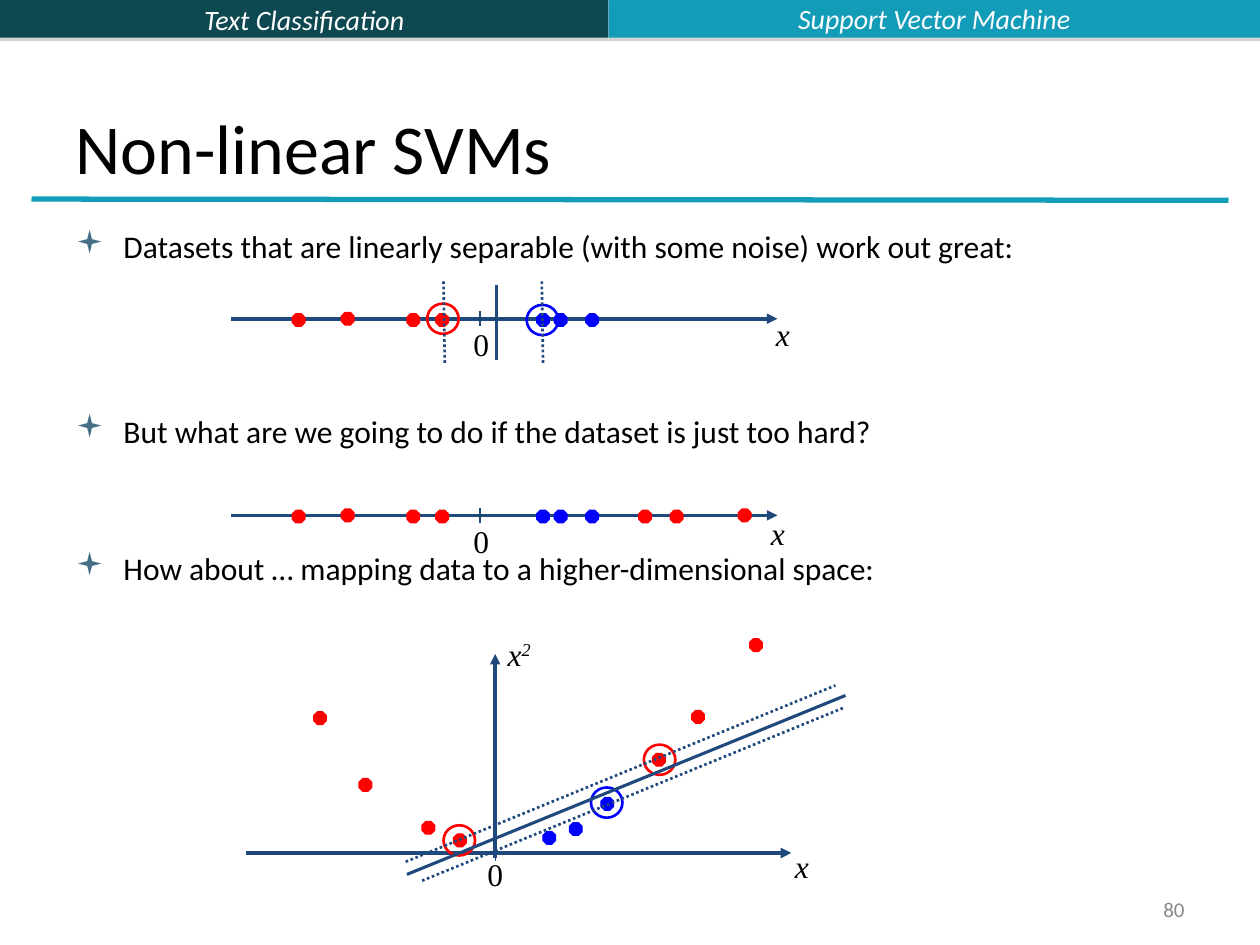
from lxml.etree import SubElement
from pptx import Presentation
from pptx.dml.color import RGBColor
from pptx.enum.dml import MSO_LINE
from pptx.enum.shapes import MSO_CONNECTOR, MSO_SHAPE
from pptx.enum.text import MSO_ANCHOR, PP_ALIGN
from pptx.oxml.ns import qn
from pptx.util import Inches, Pt

HUES = {"dark": "0E4851", "teal": "139CB7", "navy": "1F497D", "red": "FF0000",
        "blue": "0000FF", "black": "000000", "white": "FFFFFF", "pale": "FBFCFF",
        "gray": "898989", "shade": "808080", "bullet": "437085"}
TINT = {name: RGBColor.from_string(code) for name, code in HUES.items()}
SANS, SERIF = "Calibri", "Times New Roman"


def write(para, text, size, face, hue, slant=False):
    run = para.add_run()
    run.text = text
    run.font.size = Pt(size)
    run.font.name = face
    run.font.italic = slant
    run.font.color.rgb = TINT[hue]
    return run


def rule(x1, y1, x2, y2, width, hue="navy", dash=None, arrow=False):
    wire = slide.shapes.add_connector(
        MSO_CONNECTOR.STRAIGHT, Inches(x1), Inches(y1), Inches(x2), Inches(y2))
    wire.line.color.rgb = TINT[hue]
    wire.line.width = Pt(width)
    if dash:
        wire.line.dash_style = dash
    props = wire._element.spPr
    if arrow:
        SubElement(props.find(qn("a:ln")), qn("a:tailEnd"), type="triangle")
    SubElement(props, qn("a:effectLst"))


deck = Presentation()
deck.slide_width, deck.slide_height = Inches(10), Inches(7.5)
slide = deck.slides.add_slide(deck.slide_layouts[1])

# Header bars with a thin shadow below
for left, width, hue in [(0, 4.83, "dark"), (4.83, 5.17, "teal")]:
    bar = slide.shapes.add_shape(
        MSO_SHAPE.RECTANGLE, Inches(left), 0, Inches(width), Inches(0.3))
    bar.fill.solid()
    bar.fill.fore_color.rgb = TINT[hue]
    bar.line.fill.background()
    bar.shadow.inherit = False
    glow = SubElement(bar._element.spPr.find(qn("a:effectLst")), qn("a:outerShdw"),
                      blurRad="0", dist=str(Pt(1.8)), dir="5400000", rotWithShape="0")
    shade = SubElement(glow, qn("a:srgbClr"), val=HUES["shade"])
    SubElement(shade, qn("a:alpha"), val="35000")
    if hue == "dark":
        bar.text_frame.vertical_anchor = MSO_ANCHOR.MIDDLE
        para = bar.text_frame.paragraphs[0]
        para.alignment = PP_ALIGN.CENTER
        write(para, "Text Classification", 16, SANS, "white", True)

# Title and its underline
title = slide.shapes.title
title.left, title.top = Inches(0.5), Inches(0.3)
title.width, title.height = Inches(9), Inches(1.25)
title.text_frame.vertical_anchor = MSO_ANCHOR.BOTTOM
para = title.text_frame.paragraphs[0]
para.alignment = PP_ALIGN.LEFT
write(para, "Non-linear SVMs", 40, SANS, "black")
rule(0.25, 1.58, 9.75, 1.59, 3, "teal")

# Bulleted list, spaced to leave room for the diagrams
body = slide.placeholders[1]
body.left, body.top = Inches(0.5), Inches(1.75)
body.width, body.height = Inches(9), Inches(5.42)
points = [
    ("Datasets that are linearly separable (with some noise) work out great:", 0),
    ("But what are we going to do if the dataset is just too hard?", 84),
    ("How about … mapping data to a higher-dimensional space:", 57),
]
for i, (text, gap) in enumerate(points):
    frame = body.text_frame
    para = frame.add_paragraph() if i else frame.paragraphs[0]
    props = para._p.get_or_add_pPr()
    props.set("marL", str(Inches(0.38)))
    props.set("indent", str(-Inches(0.38)))
    tone = SubElement(props, qn("a:buClr"))
    SubElement(tone, qn("a:srgbClr"), val=HUES["bullet"])
    SubElement(props, qn("a:buFont"), typeface="Wingdings")
    SubElement(props, qn("a:buChar"), char="▪")
    para.space_before = Pt(gap)
    write(para, text, 18, SANS, "black")

# Axes: two number lines, then the plane
for y in (2.53, 4.09):
    rule(1.83, y, 6.17, y, 2, arrow=True)
    rule(3.81, y - 0.06, 3.81, y + 0.06, 1.5)
rule(1.95, 6.77, 6.28, 6.77, 2, arrow=True)
rule(3.93, 6.71, 3.93, 6.83, 0.75)
rule(3.93, 6.81, 3.93, 5.19, 2, arrow=True)

# Data points by left and top
near = [(2.32, 0.01, "red"), (2.71, 0, "red"), (3.23, 0.01, "red"),
        (3.46, 0.01, "red"), (4.4, 0.01, "blue"), (4.65, 0.01, "blue"),
        (4.26, 0.01, "blue")]
far = [(5.07, 0.01, "red"), (5.32, 0.01, "red"), (5.86, 0, "red")]
plane = [(2.49, 5.65, "red"), (2.85, 6.18, "red"), (3.35, 6.52, "red"),
         (3.6, 6.62, "red"), (4.52, 6.53, "blue"), (4.77, 6.33, "blue"),
         (4.31, 6.6, "blue"), (5.18, 5.98, "red"), (5.49, 5.64, "red"),
         (5.95, 5.07, "red")]
dots = [(x, 2.48 + y, hue) for x, y, hue in near]
dots += [(x, 4.04 + y, hue) for x, y, hue in near + far]
for x, y, hue in dots + plane:
    dot = slide.shapes.add_shape(
        MSO_SHAPE.OCTAGON, Inches(x), Inches(y), Inches(0.1), Inches(0.1))
    dot.fill.solid()
    dot.fill.fore_color.rgb = dot.line.color.rgb = TINT[hue]
    dot.line.width = Pt(0.75)
    dot.shadow.inherit = False

# Rings around the support vectors
for x, y, hue in [(4.18, 2.42, "blue"), (3.39, 2.41, "red"), (5.11, 5.91, "red"),
                  (4.69, 6.25, "blue"), (3.52, 6.55, "red")]:
    ring = slide.shapes.add_shape(
        MSO_SHAPE.OVAL, Inches(x), Inches(y), Inches(0.25), Inches(0.24))
    ring.fill.background()
    ring.line.color.rgb = TINT[hue]
    ring.line.width = Pt(1.5)
    ring.shadow.inherit = False

# Separators and dotted margins
rule(3.94, 2.26, 3.94, 2.86, 1.5)
rule(3.23, 6.94, 6.71, 5.52, 1.75)
for ends in [(4.31, 2.88, 4.3, 2.23), (3.53, 2.88, 3.52, 2.23),
             (3.22, 6.84, 6.63, 5.44), (3.35, 6.99, 6.69, 5.62)]:
    rule(*ends, 1.5, dash=MSO_LINE.ROUND_DOT)

# Axis labels, slide number and section name
top, mid = MSO_ANCHOR.TOP, MSO_ANCHOR.MIDDLE
start, end, core = PP_ALIGN.LEFT, PP_ALIGN.RIGHT, PP_ALIGN.CENTER
zero = (0.37, 0.4, "0", 18, SERIF, "black", False, top, start)
name = (0.5, 0.4, "x", 18, SERIF, "black", True, top, start)
labels = [
    (3.66, 2.53, *zero), (3.66, 4.09, *zero), (3.77, 6.74, *zero),
    (6.06, 2.45, *name), (6.02, 4.03, *name), (6.21, 6.67, *name),
    (7.17, 7.08, 2.33, 0.27, "80", 12, SANS, "gray", False, mid, end),
    (4.83, -0.04, 5.17, 0.37, "Support Vector Machine", 16, SANS, "pale", True,
     mid, core),
    (3.93, 4.99, *name),
]
for x, y, width, height, text, size, face, hue, slant, anchor, align in labels:
    box = slide.shapes.add_textbox(Inches(x), Inches(y), Inches(width), Inches(height))
    box.text_frame.word_wrap = True
    box.text_frame.vertical_anchor = anchor
    para = box.text_frame.paragraphs[0]
    para.alignment = align
    write(para, text, size, face, hue, slant)

# The last label is the vertical axis: x squared
power = write(para, "2", 18, SERIF, "black", True)
power.font._element.set("baseline", "30000")

deck.save("out.pptx")
